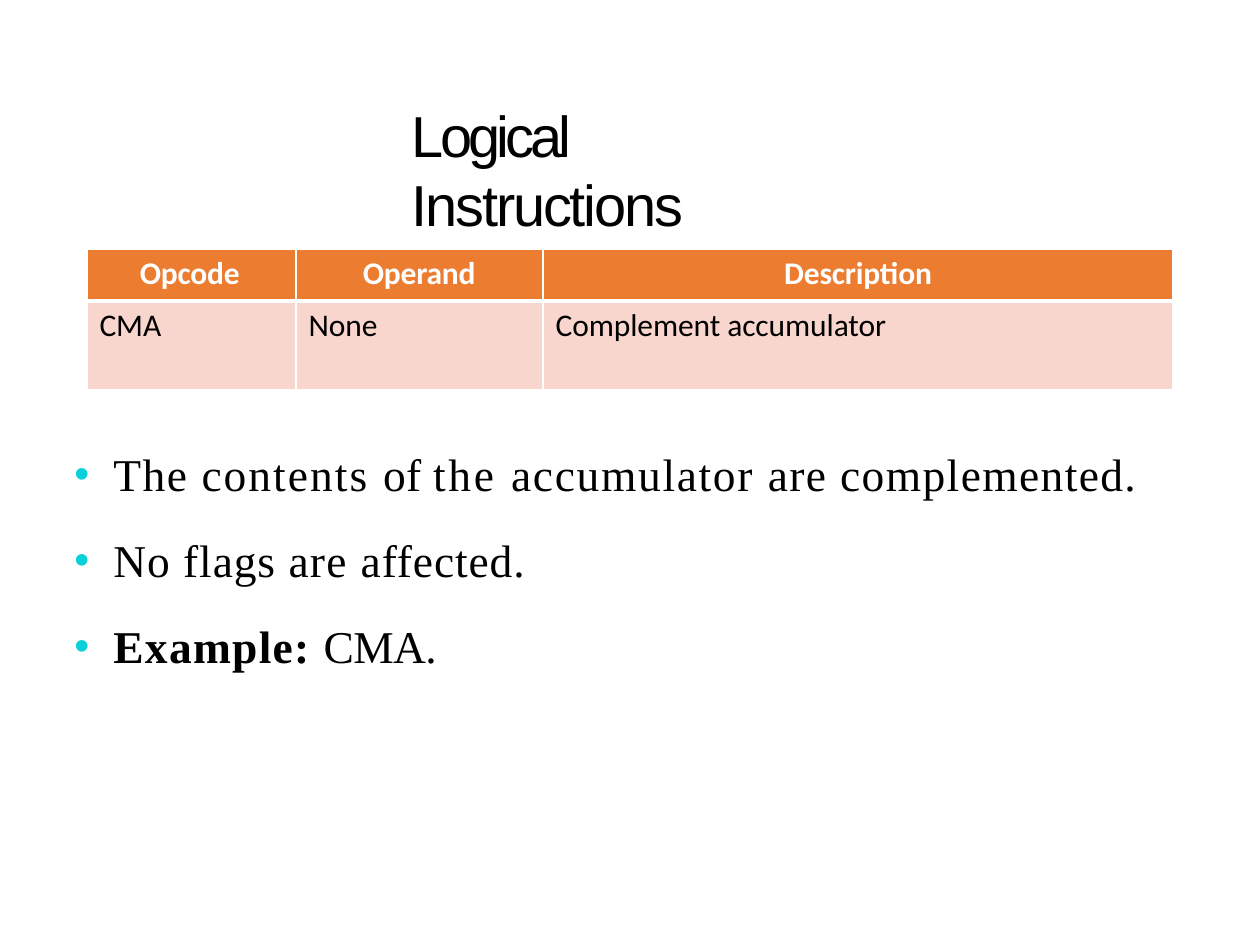
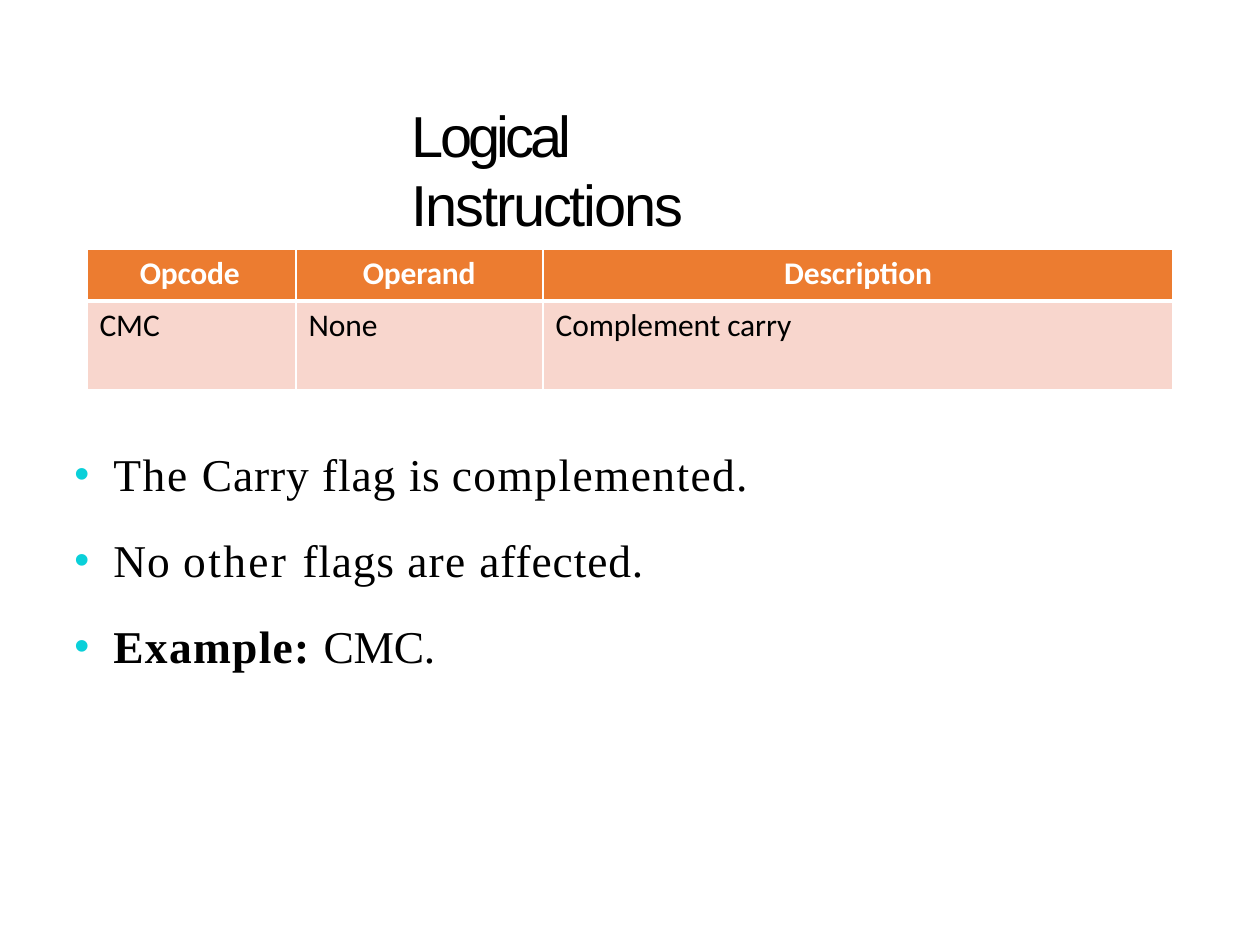
"""Builds two slides on the logical instructions CMA and CMC."""
from lxml import etree
from pptx import Presentation
from pptx import util as u
from pptx.dml.color import RGBColor
from pptx.enum import text
from pptx.oxml.ns import qn

BLACK, WHITE = "000000", "FFFFFF"
ORANGE, PINK, TURQUOISE = "EC7C30", "F8D6CD", "0AD0D9"

TITLE = [("Logical ", -2.2), ("Instructions", -1.25)]
HEADINGS = [("Opcode", 0.42), ("Operand", 0.53), ("Description", None)]
COLUMN_WIDTHS = [1.66, 1.96, 5]
ROW_HEIGHTS = [0.41, 0.7]
SPACES_BEFORE = [19.1, 18.1, 18]

INSTRUCTIONS = [
    {
        "row": ["CMA", "None", "Complement accumulator"],
        "notes_width": 8.6,
        "notes": [
            [("The ", 0.85), ("contents ", 1.15), ("of ", 0.1), ("the ", 1.55),
             ("accumulator ", 0.95), ("are complemented.", 0.8)],
            [("No ", 0.55), ("flags ", 0.5), ("are ", 0.75), ("affected.", 0.5)],
            [("Example: ", 0.75, True), ("CMA.", -0.4)],
        ],
    },
    {
        "row": ["CMC", "None", "Complement carry"],
        "notes_width": 5.6,
        "notes": [
            [("The ", 0.9), ("Carry flag ", 0.5), ("is ", 0.2), ("complemented.", 0.8)],
            [("No ", 0.55), ("other ", 1.35), ("flags ", 0.45), ("are ", 0.75),
             ("affected.", 0.5)],
            [("Example: ", 0.75, True), ("CMC.", -0.2)],
        ],
    },
]


def color(value):
    return RGBColor.from_string(value)


def add_run(paragraph, words, font, size, spacing, fill=BLACK, bold=False):
    run = paragraph.add_run()
    run.text = words
    run.font.name, run.font.size, run.font.bold = font, u.Pt(size), bold
    run.font.color.rgb = color(fill)
    run.font._element.set("spc", str(round(spacing * 100)))


def indent(paragraph, left, first=0):
    properties = paragraph._p.get_or_add_pPr()
    properties.set("marL", str(u.Inches(left)))
    properties.set("indent", str(u.Inches(first)))
    return properties


def add_bullet(paragraph):
    properties = indent(paragraph, 0.31, -0.31)
    bullet_color = etree.SubElement(properties, qn("a:buClr"))
    etree.SubElement(bullet_color, qn("a:srgbClr"), val=TURQUOISE)
    etree.SubElement(properties, qn("a:buSzPct"), val="94000")
    etree.SubElement(properties, qn("a:buFont"), typeface="Arial")
    etree.SubElement(properties, qn("a:buChar"), char="•")


def add_text_frame(slide, left, top, width, height, inset):
    shape = slide.shapes.add_textbox(*map(u.Inches, (left, top, width, height)))
    frame = shape.text_frame
    frame.margin_left = frame.margin_right = frame.margin_bottom = 0
    frame.margin_top = u.Inches(inset)
    frame.word_wrap = True
    frame.auto_size = text.MSO_AUTO_SIZE.SHAPE_TO_FIT_TEXT
    return frame


def add_title(slide):
    paragraph = add_text_frame(slide, 3.25, 0.77, 3.4, 0.58, 0.02).paragraphs[0]
    indent(paragraph, 0.02)
    paragraph.space_before = u.Pt(1.1)
    for words, spacing in TITLE:
        add_run(paragraph, words, "Arial", 33, spacing)


def add_borders(cell, top, bottom):
    properties = cell._tc.get_or_add_tcPr()
    sides = {"a:lnL": 1, "a:lnR": 1, "a:lnT": top, "a:lnB": bottom}
    for index, (side, width) in enumerate(sides.items()):
        line = etree.Element(qn(side), w=str(u.Pt(width)))
        fill = etree.SubElement(line, qn("a:solidFill"))
        etree.SubElement(fill, qn("a:srgbClr"), val=WHITE)
        properties.insert(index, line)


def fill_cell(cell, words, left, header):
    cell.margin_left = cell.margin_right = cell.margin_bottom = 0
    cell.margin_top = u.Inches(0.04)
    cell.fill.solid()
    cell.fill.fore_color.rgb = color(ORANGE if header else PINK)
    add_borders(cell, *((1, 3) if header else (3, 1)))
    paragraph = cell.text_frame.paragraphs[0]
    paragraph.space_before = u.Pt(2.5)
    if left is None:
        paragraph.alignment = text.PP_ALIGN.CENTER
    else:
        indent(paragraph, left)
    add_run(paragraph, words, "Calibri", 18, -0.1 if header else -0.05,
            WHITE if header else BLACK, header)


def add_instruction_table(slide, row):
    size = sum(COLUMN_WIDTHS), sum(ROW_HEIGHTS)
    table = slide.shapes.add_table(
        2, len(row), *map(u.Inches, (0.69, 1.98, *size))).table
    for table_row, height in zip(table.rows, ROW_HEIGHTS):
        table_row.height = u.Inches(height)
    for index, width in enumerate(COLUMN_WIDTHS):
        table.columns[index].width = u.Inches(width)
        fill_cell(table.cell(0, index), *HEADINGS[index], True)
        fill_cell(table.cell(1, index), row[index], 0.1, False)


def add_notes(slide, notes, width):
    frame = add_text_frame(slide, 0.59, 3.28, width, 2.08, 0.26)
    for index, (runs, space) in enumerate(zip(notes, SPACES_BEFORE)):
        paragraph = frame.add_paragraph() if index else frame.paragraphs[0]
        paragraph.space_before = u.Pt(space)
        add_bullet(paragraph)
        for words, spacing, *bold in runs:
            add_run(paragraph, words, "Times New Roman", 26, spacing, bold=bool(bold))


def main():
    presentation = Presentation()
    presentation.slide_width, presentation.slide_height = u.Inches(10), u.Inches(7.5)
    for instruction in INSTRUCTIONS:
        slide = presentation.slides.add_slide(presentation.slide_layouts[6])
        add_title(slide)
        add_instruction_table(slide, instruction["row"])
        add_notes(slide, instruction["notes"], instruction["notes_width"])
    presentation.save("out.pptx")


if __name__ == "__main__":
    main()
